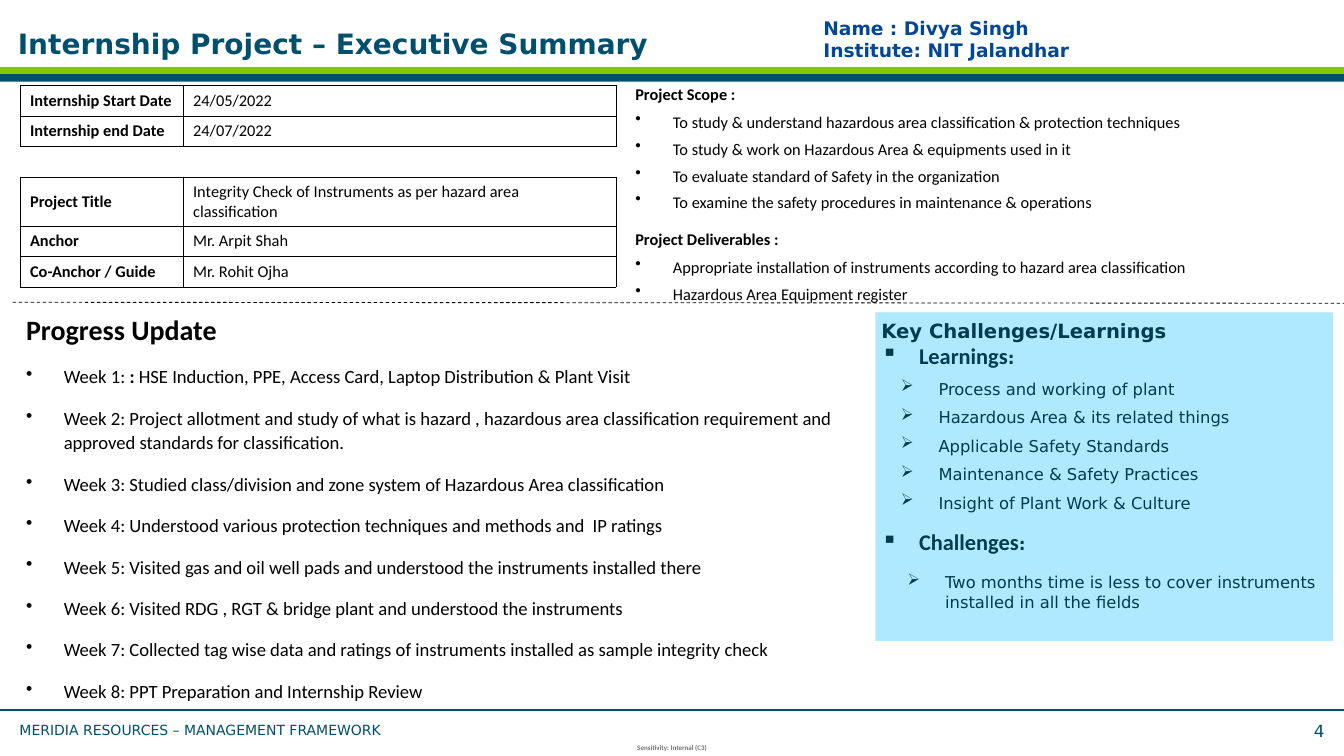
from pptx import Presentation
from pptx import util as u
from pptx.dml.color import RGBColor
from pptx.enum import dml, shapes, text
from pptx.oxml.ns import qn
from lxml import etree

COLOURS = {"green": "82C702", "teal": "004F6D", "black": "000000", "grey": "737373",
           "panel": "AFE9FF", "navy": "003B52", "blue": "004896"}


def font(name, size, colour, bold=False):
    return {"name": name, "size": u.Pt(size), "bold": bold, "colour": colour}


SANS, CALIBRI = "DejaVu Sans", "Calibri"
FONTS = {
    "title": font(SANS, 24, "teal", True),
    "author": font(SANS, 16, "blue", True),
    "footer": font(SANS, 12, "teal"),
    "page": font(SANS, 14.4, "teal"),
    "sensitivity": font(CALIBRI, 6, "grey", True),
    "label": font(CALIBRI, 14, "black", True),
    "body": font(CALIBRI, 14, "black"),
    "progress": font(CALIBRI, 24, "black", True),
    "week": font(CALIBRI, 16, "black"),
    "week_bold": font(CALIBRI, 16, "black", True),
    "panel_title": font(SANS, 16.8, "navy", True),
    "panel_head": font(CALIBRI, 19.2, "navy", True),
    "panel_colon": font(SANS, 14.4, "navy", True),
    "panel_body": font(SANS, 14, "navy"),
}

# Paragraph formats: hanging indents are in cm
GAP, HANG = u.Pt(14.4), 1.14
PARAGRAPHS = {
    "plain": {},
    "centre": {"alignment": text.PP_ALIGN.CENTER},
    "right": {"alignment": text.PP_ALIGN.RIGHT},
    "heading": {"line_spacing": 1.1, "space_before": GAP},
    "scope": {"bullet": "•", "indent": HANG, "line_spacing": 0.5, "space_before": GAP},
    "week": {"bullet": "•", "indent": HANG, "line_spacing": 1.1, "space_before": GAP},
    "topic": {"bullet": "▪", "indent": HANG, "space_after": GAP},
    "learning": {"bullet": "➢", "indent": 1.73, "line_spacing": 0.6, "space_after": GAP},
    "challenge": {"bullet": "➢", "indent": 1.93, "level": 1, "space_after": GAP},
}


class SummarySlide:
    def __init__(self, deck):
        self.slide = deck.slides.add_slide(deck.slide_layouts[6])

    def rectangle(self, box, colour):
        shape = self.slide.shapes.add_shape(shapes.MSO_SHAPE.RECTANGLE, *map(u.Cm, box))
        shape.shadow.inherit = False
        shape.fill.solid()
        shape.fill.fore_color.rgb = RGBColor.from_string(COLOURS[colour])
        shape.line.fill.background()

    def line(self, start, end, colour, width, dash=None):
        rule = self.slide.shapes.add_connector(
            shapes.MSO_CONNECTOR.STRAIGHT, *map(u.Cm, start + end))
        rule.line.color.rgb = RGBColor.from_string(COLOURS[colour])
        rule.line.width = u.Pt(width)
        rule.line.dash_style = dash
        etree.SubElement(rule._element.spPr, qn("a:effectLst"))

    def fill_text(self, frame, paragraphs):
        """Each paragraph is (format name, [(words, font name), ...])."""
        for number, (kind, runs) in enumerate(paragraphs):
            paragraph = frame.add_paragraph() if number else frame.paragraphs[0]
            values = dict(PARAGRAPHS[kind])
            if number == 0:
                values.pop("space_before", None)
            bullet, indent = values.pop("bullet", None), values.pop("indent", 0)
            if bullet:
                props = paragraph._p.get_or_add_pPr()
                props.set("marL", str(u.Cm(indent)))
                props.set("indent", str(-u.Cm(HANG)))
                etree.SubElement(props, qn("a:buChar")).set("char", bullet)
            for key, value in values.items():
                setattr(paragraph, key, value)
            for words, style in runs:
                run = paragraph.add_run()
                run.text = words
                for key, value in FONTS[style].items():
                    if key == "colour":
                        run.font.color.rgb = RGBColor.from_string(COLOURS[value])
                    else:
                        setattr(run.font, key, value)

    def text(self, box, paragraphs, inset=0.16, side=None, anchor=text.MSO_ANCHOR.TOP):
        frame = self.slide.shapes.add_textbox(*map(u.Cm, box)).text_frame
        side = inset if side is None else side
        layout = {"word_wrap": True, "vertical_anchor": anchor,
                  "margin_left": u.Cm(side), "margin_right": u.Cm(side),
                  "margin_top": u.Cm(inset), "margin_bottom": u.Cm(inset)}
        for key, value in layout.items():
            setattr(frame, key, value)
        self.fill_text(frame, paragraphs)

    def borders(self, cell, visible):
        props = cell._tc.get_or_add_tcPr()
        for edge in "LRTB":
            border = etree.SubElement(props, qn(f"a:ln{edge}"), w=str(u.Pt(0.5)))
            if edge in visible:
                fill = etree.SubElement(border, qn("a:solidFill"))
                etree.SubElement(fill, qn("a:srgbClr"), val=COLOURS["black"])
            else:
                etree.SubElement(border, qn("a:noFill"))

    def table(self, left, top, widths, row_height, rows):
        grid = self.slide.shapes.add_table(
            len(rows), len(widths), u.Cm(left), u.Cm(top),
            u.Cm(sum(widths)), u.Cm(row_height * len(rows))).table
        grid.first_row = grid.horz_banding = False
        for column, width in zip(grid.columns, widths):
            column.width = u.Cm(width)
        for r, row in enumerate(rows):
            grid.rows[r].height = u.Cm(row_height)
            for c, style in enumerate(("label", "body")):
                cell = grid.cell(r, c)
                pad = 0.15 if row else 0
                margins = {"margin_left": 0.3, "margin_right": 0.3,
                           "margin_top": pad, "margin_bottom": pad}
                for key, value in margins.items():
                    setattr(cell, key, u.Cm(value))
                cell.vertical_anchor = text.MSO_ANCHOR.MIDDLE
                self.borders(cell, "LRTB" if row else "TB")
                cell.fill.background()
                if row:
                    self.fill_text(cell.text_frame, [("plain", [(row[c], style)])])


def items(kind, style, lines):
    return [(kind, [(line, style)]) for line in lines]


def main():
    deck = Presentation()
    deck.slide_width, deck.slide_height = u.Cm(40.64), u.Cm(22.86)
    summary = SummarySlide(deck)
    middle = text.MSO_ANCHOR.MIDDLE

    # Header bands and footer
    for top, colour in ((2.03, "green"), (2.24, "teal")):
        summary.rectangle((0, top, 40.64, 0.23), colour)
    summary.line((0, 21.46), (40.64, 21.46), "teal", 1.5)
    summary.text((0.41, 21.64, 29.54, 0.81), items(
        "plain", "footer", ["MERIDIA RESOURCES – MANAGEMENT FRAMEWORK"]), 0.18)
    summary.text((19, 22.33, 2.64, 0.53), items(
        "centre", "sensitivity", ["Sensitivity: Internal (C3)"]), 0, anchor=middle)
    summary.text((34.14, 21.64, 6.07, 0.81), items("right", "page", ["4"]))

    # Title and author
    summary.text((0.38, 0.41, 35.43, 1.8), items(
        "plain", "title", ["Internship Project – Executive Summary"]), anchor=middle)
    summary.text((24.77, 0.33, 9.91, 1.52), items(
        "plain", "author", ["Name : Divya Singh", "Institute: NIT Jalandhar"]), 0.18, 0.13)

    # Project facts; the empty row separates dates from people
    summary.table(0.61, 2.59, (4.93, 13.08), 0.92, [
        ("Internship Start Date", "24/05/2022"),
        ("Internship end Date", "24/07/2022"),
        None,
        ("Project Title", "Integrity Check of Instruments as per hazard area classification"),
        ("Anchor", "Mr. Arpit Shah"),
        ("Co-Anchor / Guide", "Mr. Rohit Ojha"),
    ])

    # Scope and deliverables
    summary.text((19.05, 2.34, 21.23, 6.86), [
        *items("heading", "label", ["Project Scope :"]),
        *items("scope", "body", [
            "To study & understand hazardous area classification & protection techniques",
            "To study & work on Hazardous Area & equipments used in it",
            "To evaluate standard of Safety in the organization",
            "To examine the safety procedures in maintenance & operations"]),
        *items("heading", "label", ["Project Deliverables :"]),
        *items("scope", "body", [
            "Appropriate installation of instruments according to hazard area classification",
            "Hazardous Area Equipment register"]),
    ])
    summary.line((0.38, 9.14), (40.64, 9.17), "black", 0.75, dml.MSO_LINE.DASH)

    # Weekly progress
    summary.text((0.61, 9.17, 25.43, 11.91), [
        *items("heading", "progress", ["Progress Update"]),
        ("week", [("Week 1: ", "week"), (": ", "week_bold"),
                  ("HSE Induction, PPE, Access Card, Laptop Distribution & Plant Visit", "week")]),
        *items("week", "week", [
            "Week 2: Project allotment and study of what is hazard , hazardous area "
            "classification requirement and approved standards for classification.",
            "Week 3: Studied class/division and zone system of Hazardous Area classification",
            "Week 4: Understood various protection techniques and methods and  IP ratings",
            "Week 5: Visited gas and oil well pads and understood the instruments installed there",
            "Week 6: Visited RDG , RGT & bridge plant and understood the instruments",
            "Week 7: Collected tag wise data and ratings of instruments installed as sample "
            "integrity check",
            "Week 8: PPT Preparation and Internship Review"]),
    ], 0.18)

    # Challenges and learnings panel
    summary.rectangle((26.47, 9.45, 13.84, 9.93), "panel")
    summary.text((26.47, 9.45, 13.84, 10.41), [
        *items("plain", "panel_title", ["Key Challenges/Learnings"]),
        ("topic", [("Learnings", "panel_head"), (":", "panel_colon")]),
        *items("learning", "panel_body", [
            "Process and working of plant",
            "Hazardous Area & its related things",
            "Applicable Safety Standards",
            "Maintenance & Safety Practices",
            "Insight of Plant Work & Culture"]),
        ("topic", [("Challenges", "panel_head"), (":", "panel_colon")]),
        *items("challenge", "panel_body", [
            "Two months time is less to cover instruments installed in all the fields"]),
    ], 0.18)

    deck.save("out.pptx")


if __name__ == "__main__":
    main()
